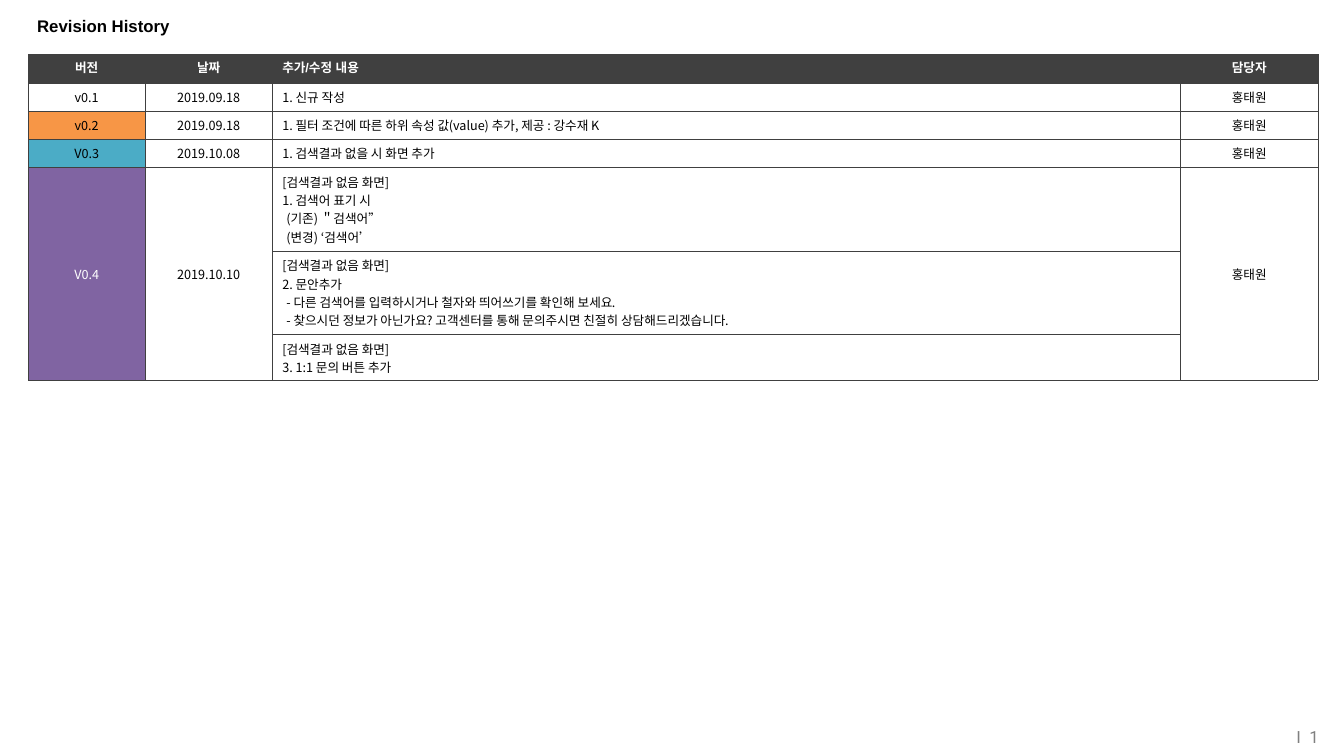
"""Build the revision history slide with its version table."""
from dataclasses import dataclass

from lxml import etree
from pptx import Presentation
from pptx import util as u
from pptx.dml.color import RGBColor
from pptx.enum import text
from pptx.oxml.ns import qn

TITLE = "Revision History"
PAGE_MARK = ("I ", "1")
HEADER = ("버전", "날짜", "추가/수정 내용", "담당자")
OWNER = "홍태원"
SCREEN = "[검색결과 없음 화면]"
REVISIONS = [
    ("v0.1", "2019.09.18", [["1. 신규 작성"]]),
    ("v0.2", "2019.09.18", [["1. 필터 조건에 따른 하위 속성 값(value) 추가, 제공 : 강수재 K"]]),
    ("V0.3", "2019.10.08", [["1. 검색결과 없을 시 화면 추가"]]),
    ("V0.4", "2019.10.10", [
        [SCREEN, "1. 검색어 표기 시", "(기존) ＂검색어”", "(변경) ‘검색어’"],
        [SCREEN, "2. 문안추가",
         "- 다른 검색어를 입력하시거나 철자와 띄어쓰기를 확인해 보세요.",
         "- 찾으시던 정보가 아닌가요? 고객센터를 통해 문의주시면 친절히 상담해드리겠습니다."],
        [SCREEN, "3. 1:1 문의 버튼 추가"],
    ]),
]
COLUMN_WIDTHS = (1.16, 1.26, 9.01, 1.36)
DETAIL_COLUMN = 2
ROW_HEIGHTS = {1: 0.28, 2: 0.45, 4: 0.83}
TABLE_LEFT, TABLE_TOP = 0.28, 0.54


@dataclass(frozen=True)
class Theme:
    """Colours, fonts and type sizes."""
    black: str = "000000"
    white: str = "FFFFFF"
    dark: str = "404040"
    gray: str = "808080"
    versions: tuple = (None, "F79646", "4BACC6", "8064A2")
    heading_font: str = "Arial"
    body_font: str = "Noto Sans CJK KR"
    page_font: str = "Roboto"
    title_size: int = 12
    table_size: int = 9
    border: float = 0.25


THEME = Theme()


def style(paragraph, font, size, color, bold=False, align=text.PP_ALIGN.LEFT):
    """Set the alignment and font of one paragraph."""
    paragraph.alignment = align
    paragraph.font.name = font
    paragraph.font.size = u.Pt(size)
    paragraph.font.bold = bold
    paragraph.font.color.rgb = RGBColor.from_string(color)
    defaults = paragraph._p.pPr.find(qn("a:defRPr"))
    etree.SubElement(defaults, qn("a:ea"), typeface=font)


def add_label(slide, left, top, width, height):
    """Add a wrapped, vertically centred text box and return its frame."""
    box = slide.shapes.add_textbox(*map(u.Inches, (left, top, width, height)))
    frame = box.text_frame
    frame.word_wrap = True
    frame.vertical_anchor = text.MSO_ANCHOR.MIDDLE
    return frame


def format_cell(cell, fill):
    """Give a cell its borders, anchor and fill."""
    properties = cell._tc.get_or_add_tcPr()
    for side in ("lnL", "lnR", "lnT", "lnB"):
        line = etree.SubElement(properties, qn(f"a:{side}"), w=str(u.Pt(THEME.border)))
        solid = etree.SubElement(line, qn("a:solidFill"))
        etree.SubElement(solid, qn("a:srgbClr"), val=THEME.dark)
    cell.vertical_anchor = text.MSO_ANCHOR.MIDDLE
    if fill:
        cell.fill.solid()
        cell.fill.fore_color.rgb = RGBColor.from_string(fill)
    else:
        cell.fill.background()


def write_cell(cell, column, lines, font, color, bold=False):
    """Write lines into a cell, indenting the sub-items."""
    align = text.PP_ALIGN.LEFT if column == DETAIL_COLUMN else text.PP_ALIGN.CENTER
    cell.text = "\n".join(lines)
    for paragraph in cell.text_frame.paragraphs:
        if paragraph.text.startswith(("(", "-")):
            paragraph._p.get_or_add_pPr().set("marL", str(u.Inches(0.04)))
        style(paragraph, font, THEME.table_size, color, bold, align)


def add_history(slide):
    """Add the table, merging the cells shared by a version's details."""
    details = [lines for *_, blocks in REVISIONS for lines in blocks]
    heights = [ROW_HEIGHTS[len(lines)] for lines in [["header"], *details]]
    frame = slide.shapes.add_table(
        len(heights), len(HEADER), u.Inches(TABLE_LEFT), u.Inches(TABLE_TOP),
        u.Inches(sum(COLUMN_WIDTHS)), u.Inches(sum(heights)))
    table = frame.table
    table.first_row = table.horz_banding = False
    for column, width in zip(table.columns, COLUMN_WIDTHS):
        column.width = u.Inches(width)
    for row, height in zip(table.rows, heights):
        row.height = u.Inches(height)

    for column, label in enumerate(HEADER):
        cell = table.cell(0, column)
        format_cell(cell, THEME.dark)
        write_cell(cell, column, [label], THEME.heading_font, THEME.white, True)

    top = 1
    for (version, date, blocks), fill in zip(REVISIONS, THEME.versions):
        last = top + len(blocks) - 1
        for row, lines in enumerate(blocks, top):
            for column in range(len(HEADER)):
                format_cell(table.cell(row, column), None if column else fill)
            write_cell(table.cell(row, DETAIL_COLUMN), DETAIL_COLUMN, lines,
                       THEME.body_font, THEME.black)
        for column, label in ((0, version), (1, date), (3, OWNER)):
            cell = table.cell(top, column)
            if last > top:
                cell.merge(table.cell(last, column))
            color = THEME.white if column == 0 and last > top else THEME.black
            write_cell(cell, column, [label], THEME.body_font, color)
        top = last + 1


def main():
    """Create and save the presentation."""
    presentation = Presentation()
    presentation.slide_width = u.Inches(13.33)
    presentation.slide_height = u.Inches(7.5)
    slide = presentation.slides.add_slide(presentation.slide_layouts[6])

    page = add_label(slide, 11.15, 7.11, 1.93, 0.39)
    page.margin_left = page.margin_right = page.margin_top = page.margin_bottom = 0
    mark = page.paragraphs[0]
    for part in PAGE_MARK:
        mark.add_run().text = part
    mark.runs[0]._r.get_or_add_rPr().set("spc", "150")
    style(mark, THEME.page_font, THEME.title_size, THEME.gray, align=text.PP_ALIGN.RIGHT)

    add_history(slide)

    title = add_label(slide, 0.27, 0.07, 12.79, 0.38)
    title.text = TITLE
    style(title.paragraphs[0], THEME.heading_font, THEME.title_size, THEME.black, True)
    presentation.save("out.pptx")


if __name__ == "__main__":
    main()
